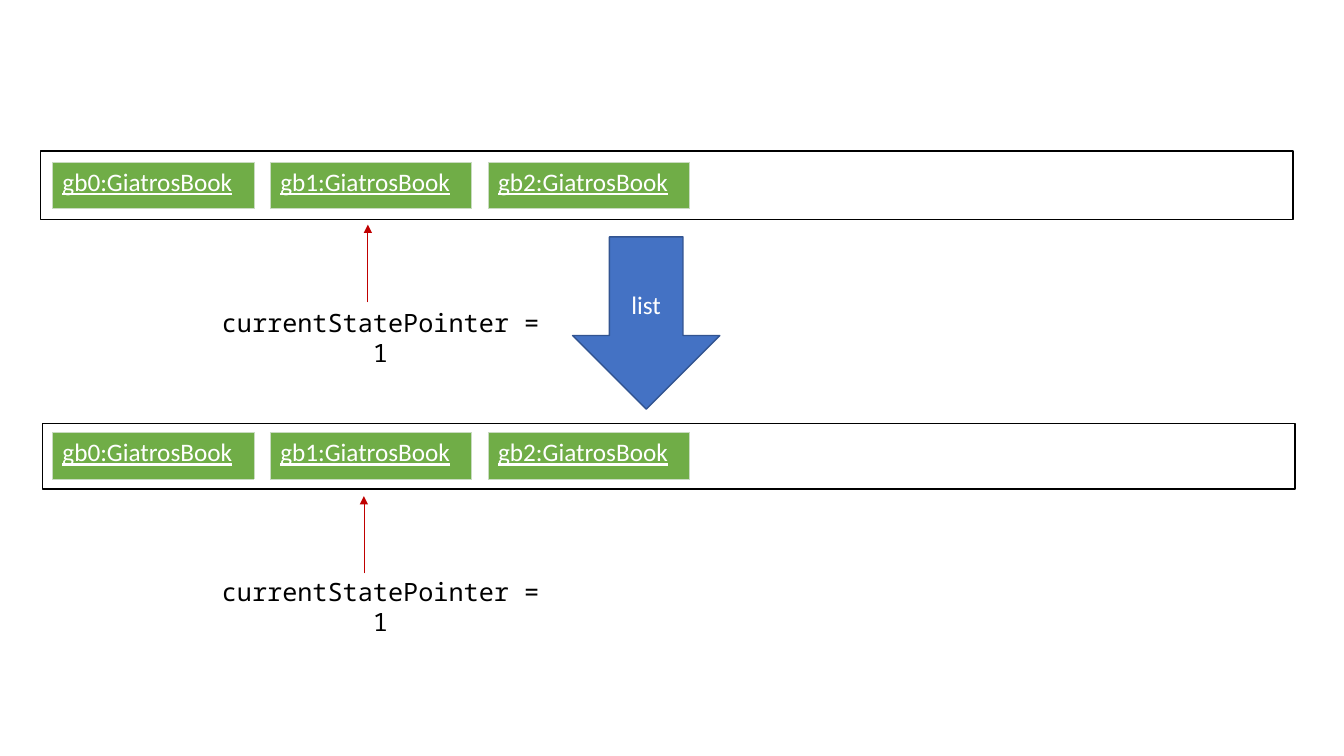
from dataclasses import dataclass

from lxml.etree import SubElement
from pptx import Presentation
from pptx.dml.color import RGBColor
from pptx.enum.shapes import MSO_CONNECTOR, MSO_SHAPE
from pptx.enum.text import MSO_ANCHOR, PP_ALIGN
from pptx.oxml.ns import qn
from pptx.util import Cm, Pt


@dataclass(frozen=True)
class Theme:
    black: RGBColor = RGBColor.from_string("000000")
    white: RGBColor = RGBColor.from_string("FFFFFF")
    blue: RGBColor = RGBColor.from_string("4472C4")
    dark_blue: RGBColor = RGBColor.from_string("325491")
    green: RGBColor = RGBColor.from_string("70AD47")
    red: RGBColor = RGBColor.from_string("C00000")
    cell_border: str = "C9DBC1"
    text_size: Pt = Pt(18)
    text_font: str = "Calibri"
    code_font: str = "Noto Sans Mono"


theme = Theme()


def write(text_frame, text, font_name, color, alignment=PP_ALIGN.CENTER):
    text_frame.text = text
    para = text_frame.paragraphs[0]
    para.alignment = alignment
    font = para.runs[0].font
    font.name = font_name
    font.size = theme.text_size
    font.color.rgb = color
    return font


def add_state(slide, name, left, top):
    """Add one list entry as a single-cell green table."""
    table = slide.shapes.add_table(1, 1, left, top, Cm(5.08), Cm(1.17)).table
    cell = table.cell(0, 0)
    font = write(cell.text_frame, name, theme.text_font, theme.white, PP_ALIGN.LEFT)
    font.bold = False
    font.underline = True
    properties = cell._tc.get_or_add_tcPr()
    for side in ("a:lnL", "a:lnR", "a:lnT", "a:lnB"):
        border = SubElement(properties, qn(side), w=str(Pt(0.5)))
        fill = SubElement(border, qn("a:solidFill"))
        SubElement(fill, qn("a:srgbClr"), val=theme.cell_border)
    cell.fill.solid()
    cell.fill.fore_color.rgb = theme.green


deck = Presentation()
deck.slide_width = Cm(33.87)
deck.slide_height = Cm(19.05)
slide = deck.slides.add_slide(deck.slide_layouts[6])

command = slide.shapes.add_shape(
    MSO_SHAPE.DOWN_ARROW, Cm(14.43), Cm(5.97), Cm(3.71), Cm(4.34))
command.shadow.inherit = False
command.fill.solid()
command.fill.fore_color.rgb = theme.blue
command.line.color.rgb = theme.dark_blue
command.line.width = Pt(1)
command.text_frame.vertical_anchor = MSO_ANCHOR.MIDDLE
write(command.text_frame, "list", theme.text_font, theme.white)

# Frame left, top and height; states top; pointer x, start and end; label top
histories = [
    (1.02, 3.81, 1.73, 4.09, 9.27, 7.62, 5.66, 7.62),
    (1.07, 10.67, 1.65, 10.9, 9.17, 14.45, 12.5, 14.4),
]
for (frame_left, frame_top, frame_height, states_top,
     pointer_x, pointer_start, pointer_end, label_top) in histories:
    frame = slide.shapes.add_shape(
        MSO_SHAPE.RECTANGLE, Cm(frame_left), Cm(frame_top), Cm(31.57), Cm(frame_height))
    frame.shadow.inherit = False
    frame.fill.background()
    frame.line.color.rgb = theme.black
    frame.line.width = Pt(1)

    for index in range(3):
        add_state(slide, f"gb{index}:GiatrosBook", Cm(1.32 + 5.49 * index), Cm(states_top))

    label = slide.shapes.add_textbox(Cm(5.13), Cm(label_top), Cm(8.92), Cm(1.02))
    label.text_frame.word_wrap = True
    write(label.text_frame, "currentStatePointer = 1", theme.code_font, theme.black)

    pointer = slide.shapes.add_connector(
        MSO_CONNECTOR.STRAIGHT, Cm(pointer_x), Cm(pointer_start),
        Cm(pointer_x), Cm(pointer_end))
    pointer.line.color.rgb = theme.red
    pointer.line.width = Pt(0.5)
    SubElement(pointer.line._get_or_add_ln(), qn("a:tailEnd"), type="triangle")
    SubElement(pointer._element.spPr, qn("a:effectLst"))

deck.save("out.pptx")
